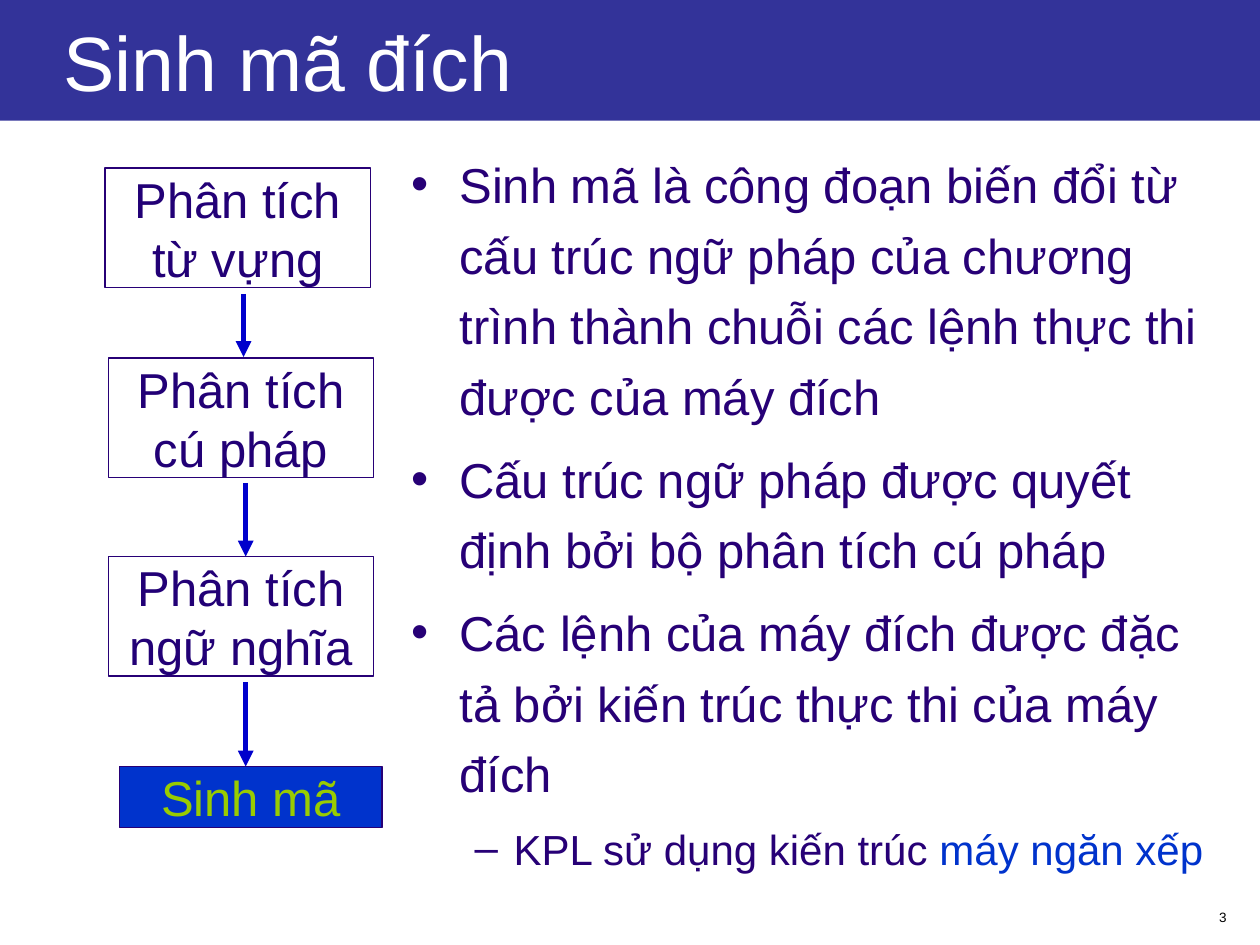
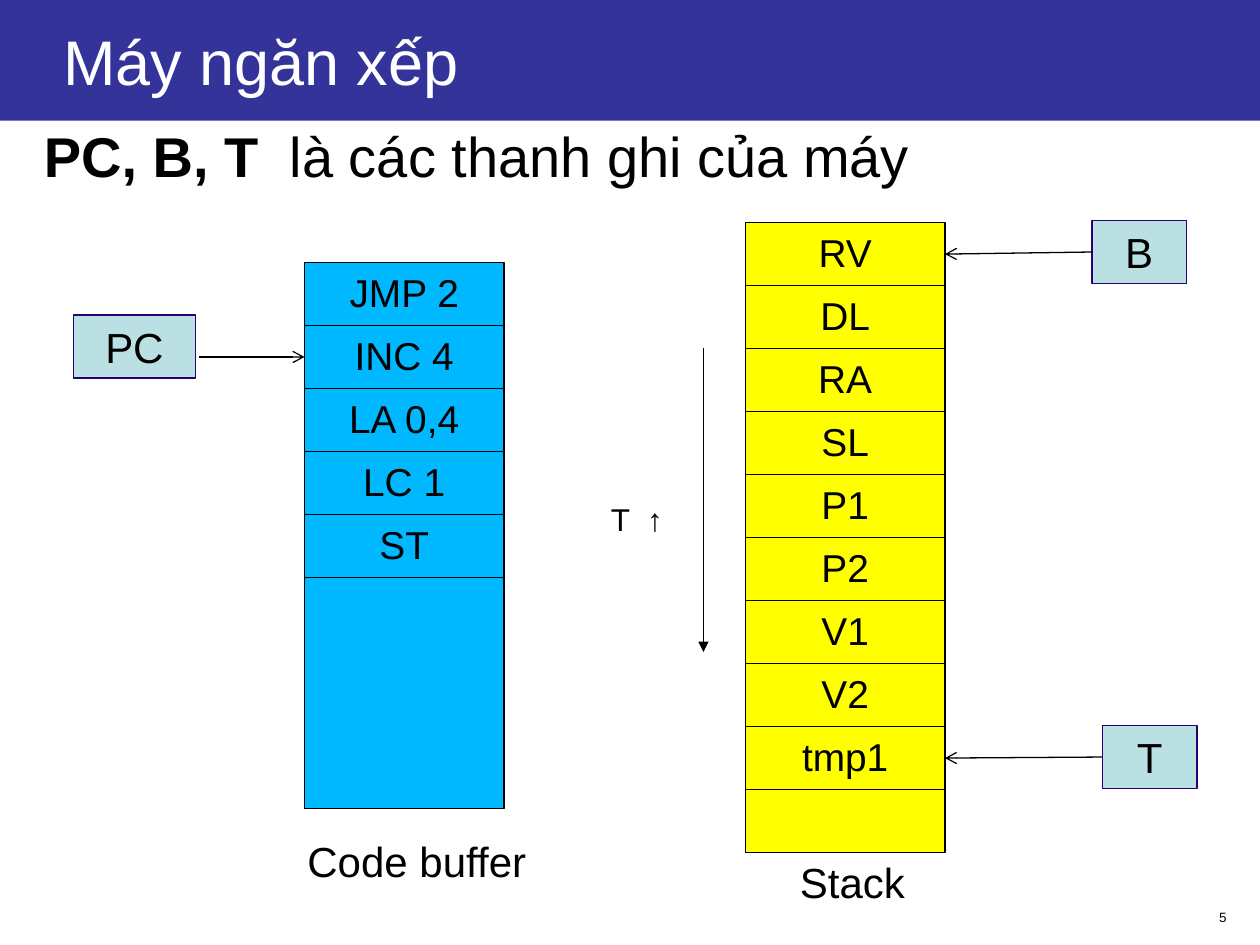
from dataclasses import dataclass
from typing import NamedTuple

from lxml.etree import SubElement
from pptx import Presentation
from pptx.dml.color import RGBColor
from pptx.enum.shapes import MSO_CONNECTOR, MSO_SHAPE
from pptx.enum.text import MSO_ANCHOR, MSO_AUTO_SIZE, PP_ALIGN
from pptx.oxml.ns import qn
from pptx.util import Emu, Inches, Pt


@dataclass(frozen=True)
class Theme:
    font: str = "Arial"
    band: str = "333399"
    white: str = "FFFFFF"
    black: str = "000000"
    ink: str = "270076"
    phase_text: str = "220076"
    accent: str = "0033CC"
    accent_text: str = "99CC00"
    flow: str = "0000CC"
    code: str = "00B8FF"
    stack: str = "FFFF00"
    register: str = "BBE0E3"
    title: float = 44
    title_small: float = 36
    heading: float = 32
    body: float = 28
    label: float = 24
    cell: float = 22.2
    note: float = 18
    number: float = 7.7
    thin: float = 0.75
    thick: float = 3


class Area(NamedTuple):
    col: float
    row: float
    cols: float
    rows: float


class Style(NamedTuple):
    size: float
    color: str
    fill: str | None = None
    line: str | None = None
    inset: float = 0.05


class Phase(NamedTuple):
    text: str
    area: Area
    style: Style


class Flow(NamedTuple):
    col: float
    start: float
    end: float


class Bullet(NamedTuple):
    text: str
    level: int = 0
    marked: str = ""


class Level(NamedTuple):
    margin: float
    hanging: float
    before: float
    size: float


T = Theme()
COLS, ROWS = 120, 90
UNIT = Inches(10) // COLS
CELL_COLS, CELL_ROWS = 19, 6

BAND = Area(0, 0, COLS, 11.5)
BODY = Area(38, 13, 79, 74)
NUMBER = Area(93, 86, 25, 2.9)
HEADING = Area(3, 11, 107, 7.7)

PHASE = Style(T.body, T.phase_text, line=T.ink, inset=0.01)
CURRENT = Style(T.body, T.accent_text, T.accent, T.ink, 0.01)
CODE = Style(T.cell, T.black, T.code, T.black)
STACK = Style(T.cell, T.black, T.stack, T.black)
REGISTER = Style(T.label, T.black, T.register, T.ink)

PHASES = [
    Phase("Phân tích từ vựng", Area(10, 16, 25.3, 11.4), PHASE),
    Phase("Phân tích cú pháp", Area(10.35, 34.1, 25.2, 11.4), PHASE),
    Phase("Phân tích ngữ nghĩa", Area(10.35, 53, 25.2, 11.4), PHASE),
    Phase("Sinh mã", Area(11.4, 73, 25, 5.85), CURRENT),
]
FLOWS = [Flow(23.2, 28, 34), Flow(23.4, 46, 53), Flow(23.4, 65, 73)]
LEVELS = [Level(0.38, 0.38, 7, T.body), Level(0.81, 0.31, 6, T.label)]
BULLETS = [
    Bullet("Sinh mã là công đoạn biến đổi từ cấu trúc ngữ pháp của chương "
           "trình thành chuỗi các lệnh thực thi được của máy đích"),
    Bullet("Cấu trúc ngữ pháp được quyết định bởi bộ phân tích cú pháp"),
    Bullet("Các lệnh của máy đích được đặc tả bởi kiến trúc thực thi của máy đích"),
    Bullet("KPL sử dụng kiến trúc ", 1, "máy ngăn xếp"),
]
CODE_LINES = ["JMP 2", "INC 4", "LA 0,4", "LC 1", "ST"]
STACK_SLOTS = ["RV", "DL", "RA", "SL", "P1", "P2", "V1", "V2", "tmp1", ""]


def grid(n: float) -> Emu:
    return Emu(round(n * UNIT))


def rgb(color: str) -> RGBColor:
    return RGBColor.from_string(color)


def place(sp, area: Area) -> None:
    sp.left, sp.top, sp.width, sp.height = map(grid, area)


def format_run(r, size: float, color: str, bold: bool = False) -> None:
    r.font.name = T.font
    r.font.size = Pt(size)
    r.font.color.rgb = rgb(color)
    r.font.bold = bold


def write(tf, text: str, size: float, color: str, align=PP_ALIGN.LEFT) -> None:
    tf.text = text
    p = tf.paragraphs[0]
    p.alignment = align
    for r in p.runs:
        format_run(r, size, color)


def add_box(slide, text: str, area: Area, style: Style):
    sp = slide.shapes.add_shape(MSO_SHAPE.RECTANGLE, *map(grid, area))
    sp.shadow.inherit = False
    if style.fill:
        sp.fill.solid()
        sp.fill.fore_color.rgb = rgb(style.fill)
    else:
        sp.fill.background()
    sp.line.color.rgb = rgb(style.line)
    sp.line.width = Pt(T.thin)
    tf = sp.text_frame
    tf.vertical_anchor = MSO_ANCHOR.TOP
    tf.margin_top = tf.margin_bottom = Inches(style.inset)
    write(tf, text, style.size, style.color, PP_ALIGN.CENTER)
    return sp


def add_text(slide, text: str, area: Area, size: float,
             align=PP_ALIGN.LEFT, wrap: bool = True):
    tf = slide.shapes.add_textbox(*map(grid, area)).text_frame
    tf.word_wrap = wrap
    write(tf, text, size, T.black, align)
    return tf


def add_arrow(slide, start: tuple[float, float], end: tuple[float, float],
              color: str = T.black, width: float = T.thin, head: str = "arrow"):
    c = slide.shapes.add_connector(
        MSO_CONNECTOR.STRAIGHT, *map(grid, start + end))
    c.line.color.rgb = rgb(color)
    c.line.width = Pt(width)
    SubElement(c.line._get_or_add_ln(), qn("a:tailEnd"), type=head)
    SubElement(c._element.spPr, qn("a:effectLst"))
    return c


def add_cells(slide, labels: list[str], col: float, row: float, style: Style) -> list:
    return [
        add_box(slide, label,
                Area(col, row + i * CELL_ROWS, CELL_COLS, CELL_ROWS), style)
        for i, label in enumerate(labels)
    ]


def add_slide(prs, layout: int, title: str, size: float, number: int):
    slide = prs.slides.add_slide(prs.slide_layouts[layout])
    sp = slide.shapes.title
    place(sp, BAND)
    sp.fill.solid()
    sp.fill.fore_color.rgb = rgb(T.band)
    tf = sp.text_frame
    tf.auto_size = MSO_AUTO_SIZE.NONE
    tf.vertical_anchor = MSO_ANCHOR.MIDDLE
    tf.margin_left = Inches(0.5)
    write(tf, title, size, T.white)
    add_text(slide, str(number), NUMBER, T.number, PP_ALIGN.RIGHT)
    return slide


def fill_body(sp, bullets: list[Bullet]) -> None:
    place(sp, BODY)
    tf = sp.text_frame
    tf.auto_size = MSO_AUTO_SIZE.NONE
    for i, bullet in enumerate(bullets):
        level = LEVELS[bullet.level]
        p = tf.add_paragraph() if i else tf.paragraphs[0]
        p.text = bullet.text
        p.level = bullet.level
        p.line_spacing = 1.2
        p.space_before = Pt(level.before)
        pPr = p._p.get_or_add_pPr()
        pPr.set("marL", str(Inches(level.margin)))
        pPr.set("indent", str(-Inches(level.hanging)))
        format_run(p.runs[0], level.size, T.ink)
        if bullet.marked:
            r = p.add_run()
            r.text = bullet.marked
            format_run(r, level.size, T.accent)


def build_code_generation(prs) -> None:
    slide = add_slide(prs, 1, "Sinh mã đích", T.title, 3)
    fill_body(slide.placeholders[1], BULLETS)
    for phase in PHASES:
        add_box(slide, *phase)
    for flow in FLOWS:
        add_arrow(slide, (flow.col, flow.start), (flow.col, flow.end),
                  T.flow, T.thick, "triangle")


def build_stack_machine(prs) -> None:
    slide = add_slide(prs, 5, "Máy ngăn xếp", T.title_small, 5)
    code = add_cells(slide, CODE_LINES, 29, 25, CODE)
    add_box(slide, "", Area(29, 55, CELL_COLS, 22), CODE)
    stack = add_cells(slide, STACK_SLOTS, 71, 21.2, STACK)

    add_box(slide, "PC", Area(7, 30, 11.6, CELL_ROWS), REGISTER)
    base = add_box(slide, "B", Area(104, 21, 9, CELL_ROWS), REGISTER)
    top = add_box(slide, "T", Area(105, 69.1, 9, CELL_ROWS), REGISTER)

    add_arrow(slide, (19, 34), (29, 34)).end_connect(code[1], 1)
    for register, slot in ((base, stack[0]), (top, stack[8])):
        c = add_arrow(slide, (104, 24), (90, 24))
        c.begin_connect(register, 1)
        c.end_connect(slot, 3)
    add_arrow(slide, (67, 33.1), (67, 62.1), head="triangle")

    add_text(slide, "T  ↑", Area(57, 47, 8, 4.8), T.note)
    add_text(slide, "Stack", Area(75, 81, 12.4, 6), T.label, wrap=False)
    add_text(slide, "Code buffer", Area(28.1, 79, 23.3, 6), T.label, wrap=False)
    tf = add_text(slide, "PC, B, T", HEADING, T.heading)
    p = tf.paragraphs[0]
    p.runs[0].font.bold = True
    r = p.add_run()
    r.text = "  là các thanh ghi của máy"
    format_run(r, T.heading, T.black)


def main() -> None:
    prs = Presentation()
    prs.slide_width = grid(COLS)
    prs.slide_height = grid(ROWS)
    build_code_generation(prs)
    build_stack_machine(prs)
    prs.save("out.pptx")


if __name__ == "__main__":
    main()
